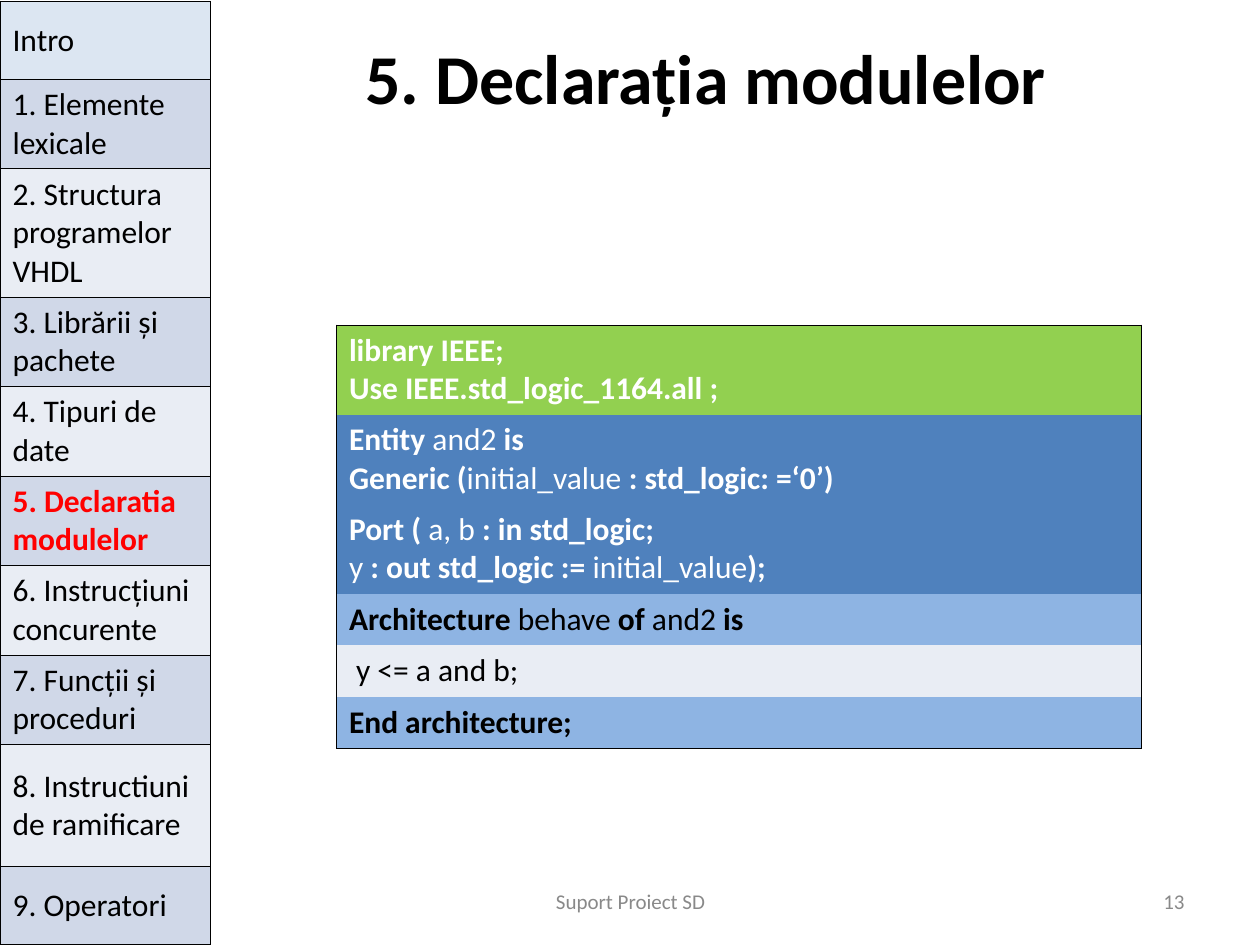
import pptx
import pptx.dml.color
import pptx.enum.text
import pptx.oxml
import pptx.oxml.ns
import pptx.util

Inches = pptx.util.Inches
Pt = pptx.util.Pt
ALIGN = pptx.enum.text.PP_ALIGN
MIDDLE = pptx.enum.text.MSO_ANCHOR.MIDDLE

HUES = {
    "black": "000000", "white": "FFFFFF", "red": "FF0000", "gray": "898989",
    "green": "92D050", "blue": "4F81BD", "sky": "8EB4E3",
    "intro": "DCE6F2", "dark": "D0D8E8", "pale": "E9EDF4",
}
PLAIN = "{2D5ABB26-0587-4C30-8999-92F81FD0307C}"  # no style, no grid

# Menu entries with row heights
MENU = [
    ("Intro", 0.62),
    ("1. Elemente lexicale", 0.71),
    ("2. Structura programelor VHDL", 1.02),
    ("3. Librării și pachete", 0.71),
    ("4. Tipuri de date", 0.71),
    ("5. Declaratia modulelor", 0.71),
    ("6. Instrucțiuni concurente", 0.71),
    ("7. Funcții și proceduri", 0.71),
    ("8. Instructiuni de ramificare", 0.97),
    ("9. Operatori", 0.62),
]
ACTIVE = 5

# Code rows: lines (bold between asterisks), fill, text colour, height
CODE = [
    (["*library IEEE;*", "*Use IEEE.std_logic_1164.all ;*"],
     "green", "white", 0.71),
    (["*Entity *and2* is*", "*Generic (*initial_value *: std_logic: =‘0’)*"],
     "blue", "white", 0.71),
    (["*Port ( *a, b *: in std_logic;*",
      "y *: out std_logic := *initial_value*);*"],
     "blue", "white", 0.71),
    (["*Architecture* behave *of* and2 *is*"], "sky", "black", 0.41),
    ([" y <= a and b;"], "pale", "black", 0.41),
    (["*End architecture;*"], "sky", "black", 0.41),
]
SPLIT = 1  # the one code row whose cells stay unmerged


def color(name):
    return pptx.dml.color.RGBColor.from_string(HUES[name])


def style(para, size, hue, align=None):
    para.alignment = align
    para.font.name = "Calibri"
    para.font.size = Pt(size)
    para.font.color.rgb = color(hue)


def write(frame, lines, size, hue, align=None):
    """Fill a frame, one paragraph a line, with bold between asterisks."""
    for i, line in enumerate(lines):
        para = frame.paragraphs[0] if i == 0 else frame.add_paragraph()
        style(para, size, hue, align)
        for j, part in enumerate(line.split("*")):
            if part:
                run = para.add_run()
                run.text = part
                run.font.bold = j % 2 == 1


def paint(cell, hue, sides):
    """Fill a cell and draw thin lines on the given sides."""
    cell.fill.solid()
    cell.fill.fore_color.rgb = color(hue)
    props = cell._tc.get_or_add_tcPr()
    space = pptx.oxml.ns.nsdecls("a")
    used = [side for side in "LRTB" if side in sides]
    for i, side in enumerate(used):
        props.insert(i, pptx.oxml.parse_xml(
            f'<a:ln{side} {space} w="{Pt(0.45)}"><a:solidFill>'
            f'<a:srgbClr val="{HUES["black"]}"/></a:solidFill></a:ln{side}>'))


def grid(slide, left, top, cols, rows):
    """Add an unstyled table with the given column and row sizes."""
    shape = slide.shapes.add_table(
        len(rows), len(cols), Inches(left), Inches(top),
        Inches(sum(cols)), Inches(sum(rows)))
    table = shape.table
    table.first_row = table.horz_banding = False
    table._tbl.tblPr.find(pptx.oxml.ns.qn("a:tableStyleId")).text = PLAIN
    for col, width in zip(table.columns, cols):
        col.width = Inches(width)
    for row, height in zip(table.rows, rows):
        row.height = Inches(height)
    return table


def add_code(slide):
    table = grid(slide, 2.67, 2.58, [4.14, 2.25], [row[3] for row in CODE])
    for i, (lines, fill, hue, _) in enumerate(CODE):
        first, last = table.cell(i, 0), table.cell(i, 1)
        edge = "T" if i == 0 else "B" if i == len(CODE) - 1 else ""
        if i != SPLIT:
            first.merge(last)
        paint(first, fill, edge + ("L" if i == SPLIT else "LR"))
        paint(last, fill, edge + "R")
        write(first.text_frame, lines, 18, hue)


def add_menu(slide):
    table = grid(slide, 0, 0.01, [1.67], [row[1] for row in MENU])
    for i, (label, _) in enumerate(MENU):
        cell = table.cell(i, 0)
        fill = "intro" if i == 0 else "dark" if i % 2 else "pale"
        paint(cell, fill, "LRTB")
        cell.vertical_anchor = MIDDLE
        live = i == ACTIVE
        write(cell.text_frame, [f"*{label}*" if live else label], 18,
              "red" if live else "black")


def add_title(slide, text):
    title = slide.shapes.title
    title.left, title.top = Inches(1.83), Inches(0.3)
    title.width, title.height = Inches(7.67), Inches(0.62)
    title.text_frame.vertical_anchor = MIDDLE
    write(title.text_frame, [f"*{text}*"], 40, "black", ALIGN.CENTER)


def add_note(slide, text, left, width, align):
    box = slide.shapes.add_textbox(
        Inches(left), Inches(6.95), Inches(width), Inches(0.4))
    box.text_frame.word_wrap = True
    box.text_frame.vertical_anchor = MIDDLE
    write(box.text_frame, [text], 12, "gray", align)


def main():
    deck = pptx.Presentation()
    deck.slide_width, deck.slide_height = Inches(10), Inches(7.5)
    slide = deck.slides.add_slide(deck.slide_layouts[5])

    # Main content
    add_code(slide)
    add_title(slide, "5. Declarația modulelor ")

    # Footer and page number
    add_note(slide, "Suport Proiect SD", 3.42, 3.17, ALIGN.CENTER)
    add_note(slide, "13", 7.17, 2.33, ALIGN.RIGHT)

    # Side menu
    add_menu(slide)
    deck.save("out.pptx")


if __name__ == "__main__":
    main()
